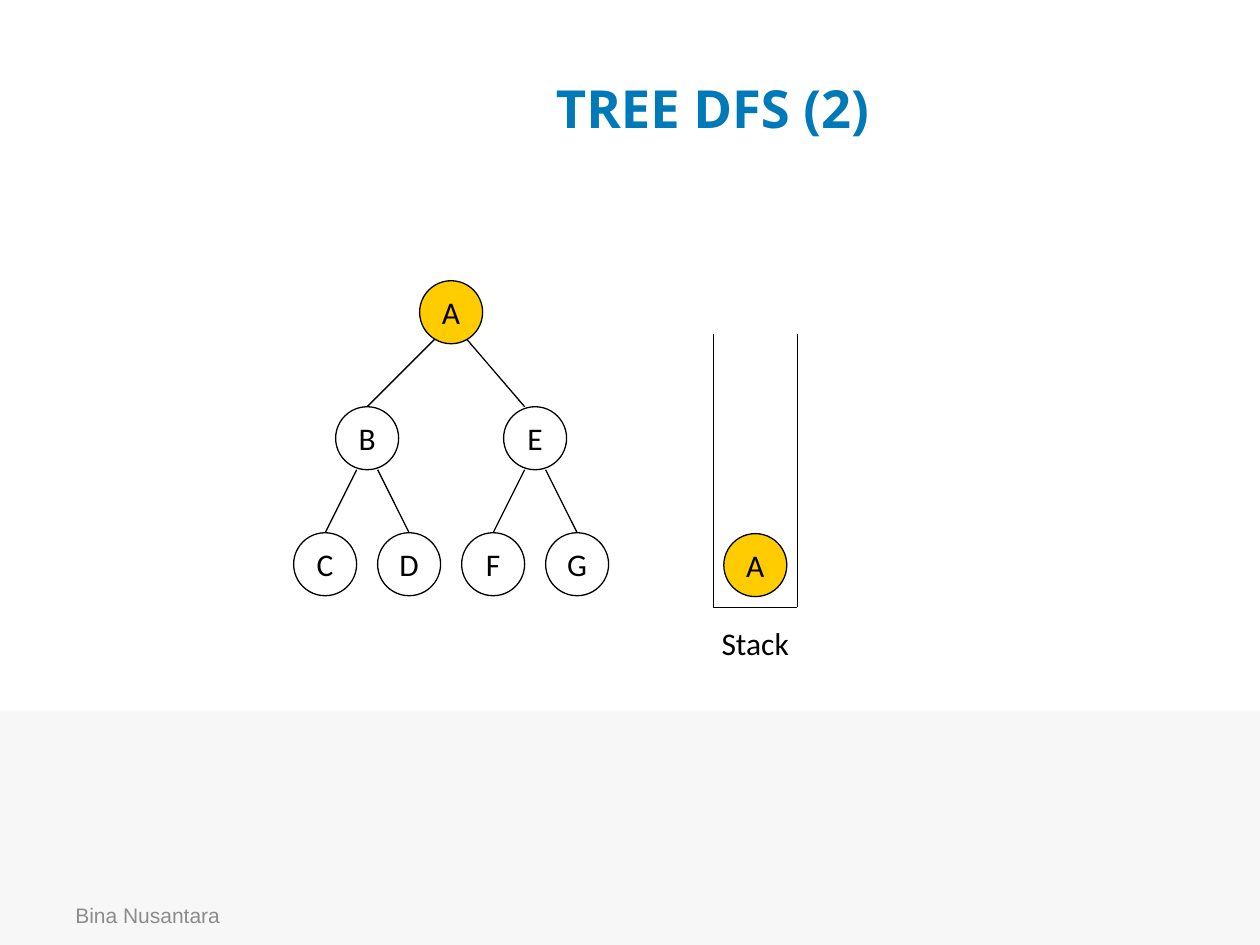
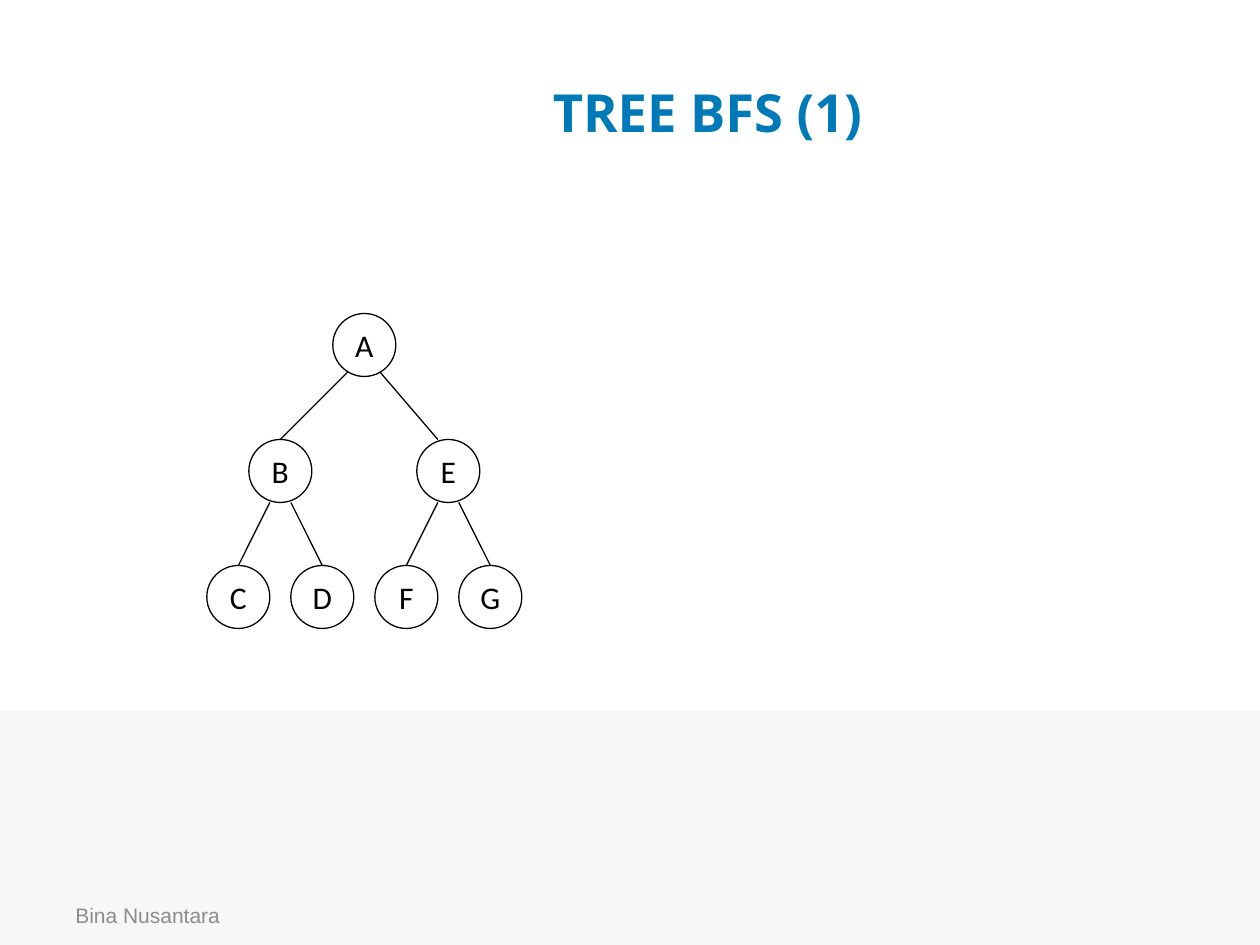
"""Build two slides that show tree traversal, one of them with its stack."""
from lxml.etree import SubElement
from pptx import Presentation
from pptx.dml.color import RGBColor
from pptx.enum.shapes import MSO_CONNECTOR, MSO_SHAPE
from pptx.enum.text import MSO_ANCHOR, PP_ALIGN
from pptx.oxml.ns import qn
from pptx.util import Cm, Pt

COLORS = {
    "title": "0079B8",
    "band": "F7F7F7",
    "footer": "8C8C8C",
    "ink": "000000",
    "node": "FFFFFF",
    "visited": "FFCC00",
}
FOOTER = "Bina Nusantara"
SLIDES = [
    {"title": "TREE DFS (2)", "title_at": (4.55, 0.58), "tree_at": (5.92, 5.66),
     "visited": ["A"], "stack": ["A"]},
    {"title": "TREE BFS (1)", "title_at": (4.45, 0.66), "tree_at": (4.17, 6.32),
     "visited": [], "stack": None},
]

LEVELS = {"A": 0, "B": 1, "E": 1, "C": 2, "D": 2, "F": 2, "G": 2}
COLUMNS = "CBDAFEG"
NODE = 1.27
STEP = NODE * 2 / 3
LEVEL = NODE * 2
NUDGE = STEP / 4
EDGES = [
    ("B", "D", 1, 0), ("B", "C", -1, 0), ("E", "G", 1, 0),
    ("E", "F", -1, 0), ("A", "E", 1, -1), ("A", "B", -1, 0),
]
ROOT_EDGE_START = NODE * 5 / 6

STACK_LEFT, STACK_TOP, STACK_BOTTOM = 14.38, 6.73, 12.24
STACK_WIDTH = STEP * 2
STACK_GAP = (STACK_WIDTH - NODE) / 2


def rgb(name):
    return RGBColor.from_string(COLORS[name])


def write(s, text, font, size, color, align=PP_ALIGN.CENTER,
          anchor=MSO_ANCHOR.MIDDLE, bold=False, wrap=True):
    tf = s.text_frame
    tf.word_wrap = wrap
    tf.vertical_anchor = anchor
    p = tf.paragraphs[0]
    p.alignment = align
    r = p.add_run()
    r.text = text
    r.font.name = font
    r.font.size = Pt(size)
    r.font.bold = bold
    r.font.color.rgb = rgb(color)


def add_text(shapes, box, *args, **kwargs):
    s = shapes.add_textbox(*map(Cm, box))
    write(s, *args, **kwargs)


def add_filled(shapes, kind, box, fill):
    s = shapes.add_shape(kind, *map(Cm, box))
    s.shadow.inherit = False
    s.fill.solid()
    s.fill.fore_color.rgb = rgb(fill)
    s.line.fill.background()
    return s


def add_line(shapes, *ends):
    s = shapes.add_connector(MSO_CONNECTOR.STRAIGHT, *map(Cm, ends))
    s.line.color.rgb = rgb("ink")
    s.line.width = Pt(0.75)
    SubElement(s._element.spPr, qn("a:effectLst"))


def add_node(shapes, label, x, y, fill):
    s = add_filled(shapes, MSO_SHAPE.OVAL, (x, y, NODE, NODE), fill)
    s.line.color.rgb = rgb("ink")
    s.line.width = Pt(0.75)
    write(s, label, "Calibri", 18, "ink", wrap=False)


def add_tree(slide, left, top, visited):
    shapes = slide.shapes.add_group_shape().shapes
    spots = {label: (left + COLUMNS.index(label) * STEP, top + level * LEVEL)
             for label, level in LEVELS.items()}
    for parent, child, start_side, end_side in EDGES:
        (px, py), (cx, cy) = spots[parent], spots[child]
        drop = NODE if LEVELS[parent] else ROOT_EDGE_START
        add_line(shapes, px + NODE / 2 + start_side * NUDGE, py + drop,
                 cx + NODE / 2 + end_side * NUDGE, cy)
    for label, (x, y) in spots.items():
        add_node(shapes, label, x, y, "visited" if label in visited else "node")


def add_stack(slide, labels):
    shapes = slide.shapes.add_group_shape().shapes
    right = STACK_LEFT + STACK_WIDTH
    for i, label in enumerate(labels, 1):
        add_node(shapes, label, STACK_LEFT + STACK_GAP,
                 STACK_BOTTOM - i * (NODE + STACK_GAP), "visited")
    for x in (STACK_LEFT, right):
        add_line(shapes, x, STACK_BOTTOM, x, STACK_TOP)
    add_line(shapes, STACK_LEFT, STACK_BOTTOM, right, STACK_BOTTOM)
    add_text(slide.shapes, (14.17, 12.45, 2.11, 1.02), "Stack", "Calibri", 18,
             "ink", anchor=MSO_ANCHOR.TOP, wrap=False)


def add_frame(slide, title, title_at):
    add_filled(slide.shapes, MSO_SHAPE.RECTANGLE, (0, 14.33, 25.4, 4.72), "band")
    add_text(slide.shapes, (1.27, 17.93, 5.92, 1.02), FOOTER, "Arial", 12,
             "footer", align=PP_ALIGN.LEFT)
    add_text(slide.shapes, (*title_at, 19.63, 3.18), title, "Open Sans", 30,
             "title", bold=True)


def main():
    prs = Presentation()
    prs.slide_width, prs.slide_height = Cm(25.4), Cm(19.05)
    for content in SLIDES:
        slide = prs.slides.add_slide(prs.slide_layouts[6])
        add_frame(slide, content["title"], content["title_at"])
        add_tree(slide, *content["tree_at"], content["visited"])
        if content["stack"]:
            add_stack(slide, content["stack"])
    prs.save("out.pptx")


if __name__ == "__main__":
    main()
